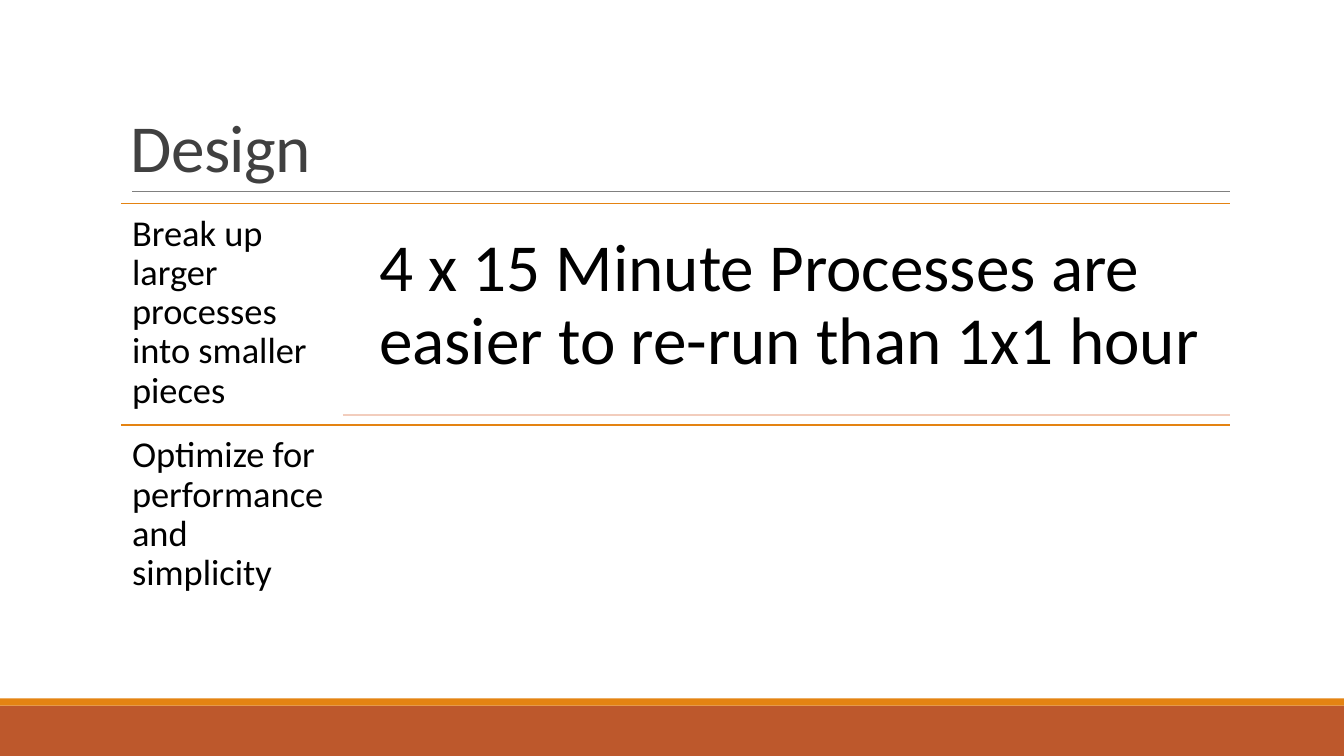
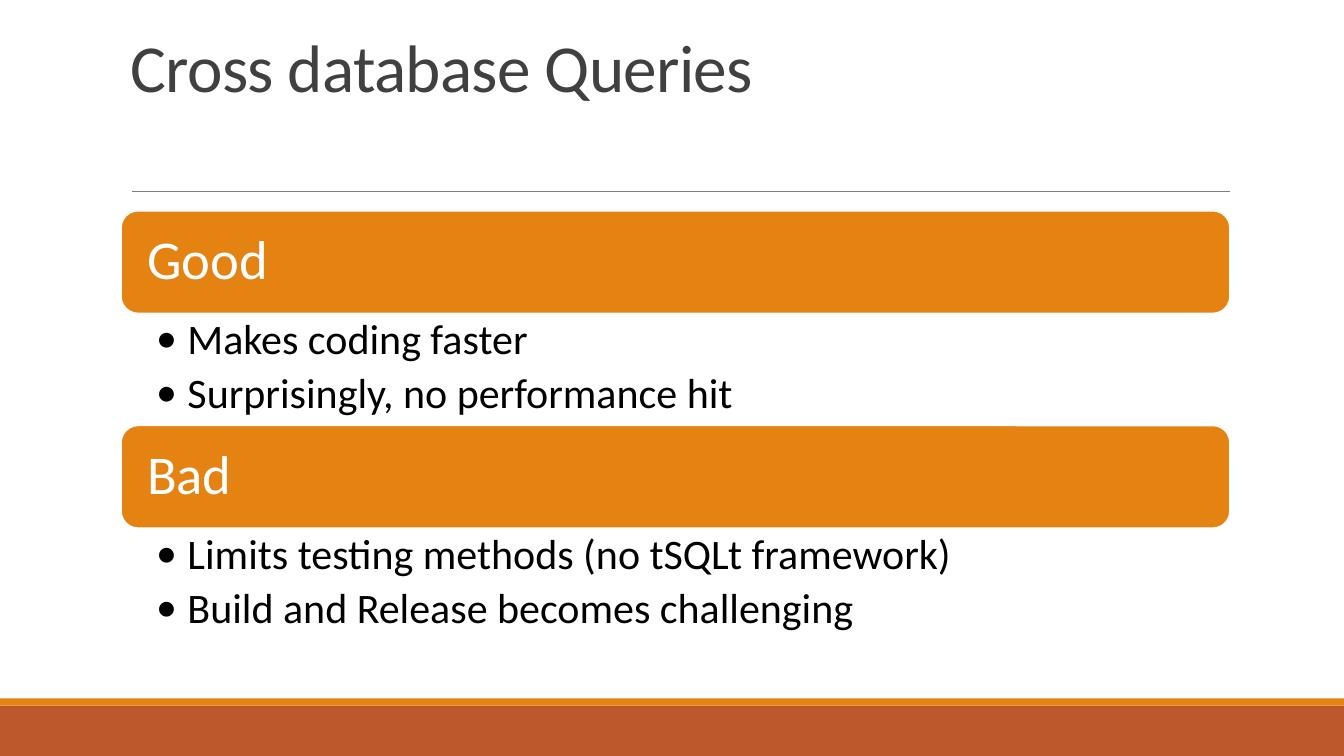
from lxml.etree import SubElement
from pptx import Presentation
from pptx.dml.color import RGBColor
from pptx.enum.shapes import MSO_CONNECTOR, MSO_SHAPE
from pptx.enum.text import MSO_ANCHOR as Anchor, PP_ALIGN as Align
from pptx.oxml.ns import qn
from pptx.util import Inches, Pt

COLORS = {
    "orange": "E48312",
    "rust": "BD582C",
    "peach": "F2CDBD",
    "gray": "808080",
    "title": "404040",
    "black": "000000",
    "white": "FFFFFF",
}
FONT = "Calibri"

# Content grid: five columns, in inches
SLIDE_W, SLIDE_H = 13.33, 7.5
LEFT, COL = 1.2, 2.2
WIDTH = 5 * COL
RIGHT = LEFT + WIDTH
TITLE_TOP, TITLE_BOTTOM = 0.31, 1.9
FOOTER_H, STRIPE_H = 0.5, 0.07


def color(name):
    return RGBColor.from_string(COLORS[name])


def add_rule(slide, x1, x2, y, line_color, weight=1.25):
    rule = slide.shapes.add_connector(
        MSO_CONNECTOR.STRAIGHT, Inches(x1), Inches(y), Inches(x2), Inches(y))
    rule.line.color.rgb = color(line_color)
    rule.line.width = Pt(weight)
    SubElement(rule._element.spPr, qn("a:effectLst"))


def add_block(slide, preset, x, y, w, h, fill):
    block = slide.shapes.add_shape(preset, Inches(x), Inches(y), Inches(w), Inches(h))
    block.shadow.inherit = False
    block.fill.solid()
    block.fill.fore_color.rgb = color(fill)
    block.line.fill.background()
    return block


def write(shape, lines, size, text_color="black", insets=(0, 0, 0, 0),
          anchor=Anchor.TOP, spacing=0.9, after=0):
    """Fill a shape with one paragraph per line; insets are left, top, right, bottom."""
    frame = shape.text_frame
    frame.word_wrap = True
    frame.vertical_anchor = anchor
    (frame.margin_left, frame.margin_top,
     frame.margin_right, frame.margin_bottom) = map(Inches, insets)
    frame.text = "\n".join(lines)
    for paragraph in frame.paragraphs:
        paragraph.alignment = Align.LEFT
        paragraph.line_spacing = spacing
        paragraph.space_after = Pt(after)
        paragraph.font.name = FONT
        paragraph.font.size = Pt(size)
        paragraph.font.color.rgb = color(text_color)
    return frame.paragraphs


def add_text(slide, x, y, w, h, lines, size, **style):
    box = slide.shapes.add_textbox(Inches(x), Inches(y), Inches(w), Inches(h))
    return write(box, lines, size, **style)


def add_bullet(paragraph, indent=0.31):
    properties = paragraph._p.get_or_add_pPr()
    properties.set("marL", str(Inches(indent)))
    properties.set("indent", str(-Inches(indent)))
    SubElement(properties, qn("a:buFont"), typeface=FONT)
    SubElement(properties, qn("a:buChar"), char="•")


def add_titled_slide(deck, title, lift=0):
    """Add a slide with footer bands, title and rule; lift raises the title."""
    slide = deck.slides.add_slide(deck.slide_layouts[6])
    footer_top = SLIDE_H - FOOTER_H
    add_block(slide, MSO_SHAPE.RECTANGLE, 0, footer_top, SLIDE_W, FOOTER_H, "rust")
    add_block(slide, MSO_SHAPE.RECTANGLE, 0, footer_top - STRIPE_H,
              SLIDE_W, STRIPE_H, "orange")
    add_rule(slide, LEFT + 0.11, RIGHT, TITLE_BOTTOM, "gray", 0.5)
    heading, = add_text(
        slide, LEFT, TITLE_TOP, WIDTH, TITLE_BOTTOM - TITLE_TOP, [title], 48,
        text_color="title", insets=(0.1, 0.05, 0.1, 0.05 + lift),
        anchor=Anchor.BOTTOM, spacing=0.85)
    heading.font._element.set("spc", "-50")
    return slide


def add_topic(slide, top, height, topic, detail=None):
    """Add a ruled row: topic in the first column, detail across the others."""
    add_rule(slide, LEFT, RIGHT, top, "orange")
    add_text(slide, LEFT, top, COL, height, [topic], 26, insets=(0.11,) * 4)
    if detail:
        gap = 0.1
        detail_left = LEFT + COL
        add_text(slide, detail_left + 0.16, top + gap, 4 * COL - 0.16,
                 height - 2 * gap, [detail], 48, insets=(0.2,) * 4)
        add_rule(slide, detail_left, RIGHT, top + height - gap, "peach")


def add_section(slide, top, height, heading, points):
    """Add a rounded heading band with bulleted points below it."""
    band_h = 1.02
    band = add_block(slide, MSO_SHAPE.ROUNDED_RECTANGLE,
                     LEFT, top, WIDTH, band_h, "orange")
    band.line.color.rgb = color("white")
    band.line.width = Pt(1.25)
    write(band, [heading], 39, text_color="white",
          insets=(0.21,) * 4, anchor=Anchor.MIDDLE)
    bullets = add_text(slide, LEFT, top + band_h, WIDTH, height - band_h, points, 30,
                       insets=(0.35, 0.05, 0.3, 0.05), after=6)
    for bullet in bullets:
        add_bullet(bullet)


def build_design(deck):
    slide = add_titled_slide(deck, "Design")
    topics = [
        ("Break up larger processes into smaller pieces",
         "4 x 15 Minute Processes are easier to re-run than 1x1 hour"),
        ("Optimize for performance and simplicity", None),
    ]
    row_h = 2.2
    for row, (topic, detail) in enumerate(topics):
        add_topic(slide, 2.02 + row * row_h, row_h, topic, detail)


def build_queries(deck):
    slide = add_titled_slide(deck, "Cross database Queries", lift=0.8)
    sections = [
        ("Good", ["Makes coding faster", "Surprisingly, no performance hit"]),
        ("Bad", ["Limits testing methods (no tSQLt framework)",
                 "Build and Release becomes challenging"]),
    ]
    row_h = 2.13
    for row, (heading, points) in enumerate(sections):
        add_section(slide, 2.09 + row * row_h, row_h, heading, points)


def main():
    deck = Presentation()
    deck.slide_width, deck.slide_height = Inches(SLIDE_W), Inches(SLIDE_H)
    build_design(deck)
    build_queries(deck)
    deck.save("out.pptx")


if __name__ == "__main__":
    main()
